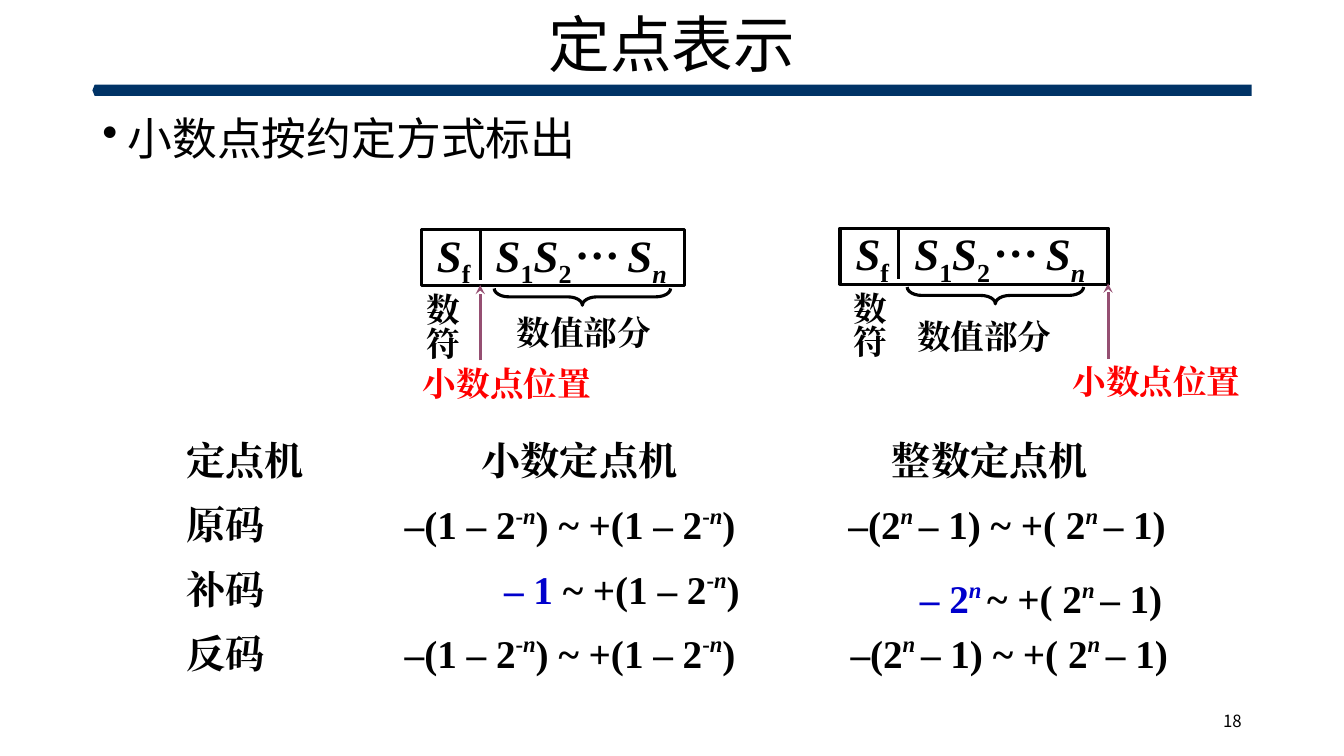
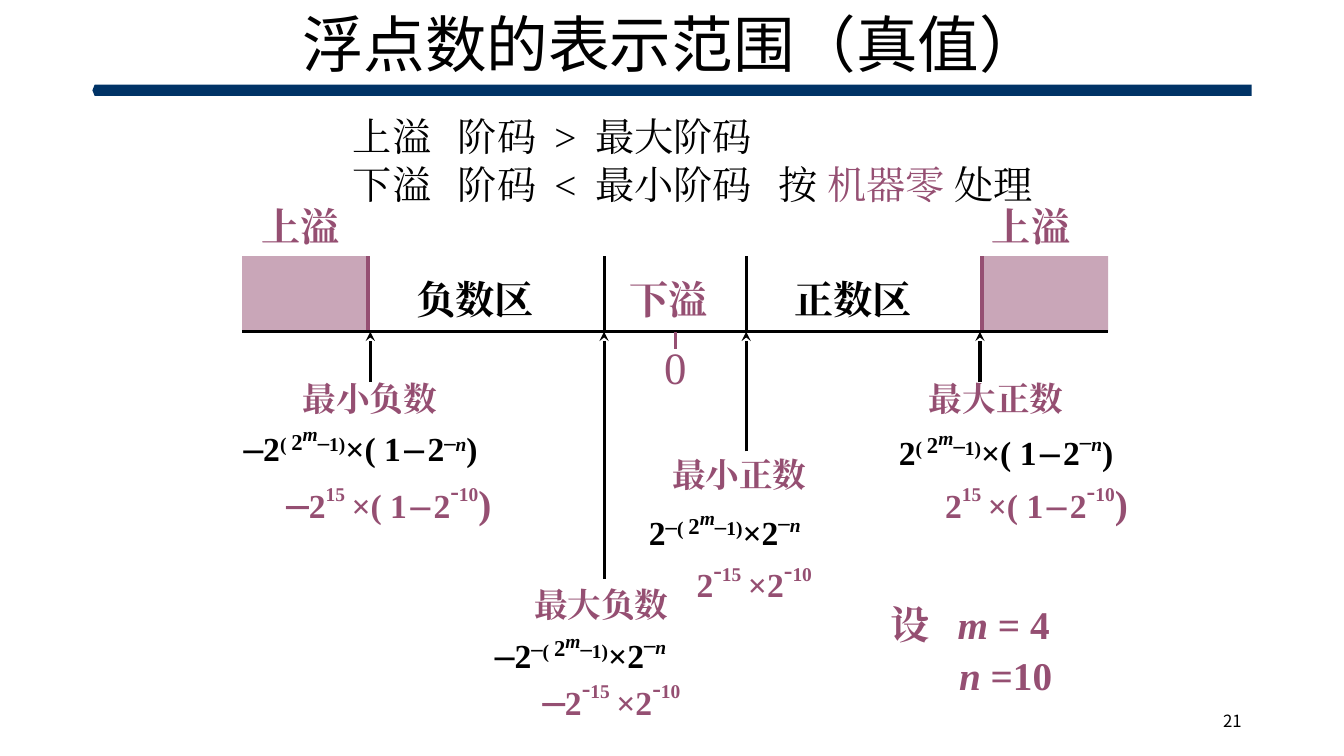
"""Build two slides on fixed-point and floating-point number ranges."""
import pptx
import pptx.util
import pptx.dml.color
import pptx.enum.shapes
import pptx.enum.text
import pptx.oxml.ns
import lxml.etree

Pt = pptx.util.Pt
qn = pptx.oxml.ns.qn
KIND = pptx.enum.shapes.MSO_SHAPE
ALIGN = pptx.enum.text.PP_ALIGN
ANCHOR = pptx.enum.text.MSO_ANCHOR
SANS, SERIF = "Noto Sans CJK SC", "Times New Roman"
INK, NAVY, PLUM, RED, BLUE = "000000", "003366", "954F72", "FF0000", "0000CC"
SLANT = {"S", "m", "n"}

EXP = [("( ", 30), ("2", 30, 28), ("m", 60), ("–", 30, 28), ("1)", 30)]
TINY = ["×2", ("–", 40, 28), ("n", 40)]
ONE = ["×( 1", (" ", 0, 10), ("–", 0, 28), (" ", 0, 10), "2"]
GAP = (" ", 30, 32)
DASH = ("-", 40, 32)
BIG = ["2", ("15", 50), GAP, *ONE, DASH, ("10", 50), (")", 0, 28)]
SMALL = ["2", DASH, ("15", 50), GAP, "×2", DASH, ("10", 50)]


def rgb(code):
    """Turn a hex string into a colour."""
    return pptx.dml.color.RGBColor.from_string(code)


def sub(parent, tag, **attrs):
    """Add an XML child with the given attributes."""
    node = lxml.etree.SubElement(parent, qn(tag))
    for key, value in attrs.items():
        node.set(key, str(value))
    return node


def fill_par(par, runs, size, tone, bold, name):
    """Fill a paragraph; a run is text or (text, baseline, size, tone)."""
    font = par.font
    font.size, font.bold, font.name = Pt(size), bold, name
    font.color.rgb = rgb(tone)
    sub(par._p.pPr.find(qn("a:defRPr")), "a:ea", typeface=name)
    for item in runs:
        item = (item,) if isinstance(item, str) else item
        word, base, own, hue = item + (0, None, None)[len(item) - 1:]
        run = par.add_run()
        run.text = word
        if word.strip() in SLANT:
            run.font.italic = True
        if own:
            run.font.size = Pt(own)
        if hue:
            run.font.color.rgb = rgb(hue)
        if base:
            run._r.get_or_add_rPr().set("baseline", str(base * 1000))


def text(slide, x, y, w, *pars, size=24, tone=INK, bold=True, name=SERIF,
         wrap=False, tabs=(), h=None):
    """Place a text box and return its frame."""
    box = slide.shapes.add_textbox(Pt(x), Pt(y), Pt(w), Pt(h or size * 1.2 + 7))
    frame = box.text_frame
    frame.word_wrap = wrap
    if not h:
        frame.auto_size = pptx.enum.text.MSO_AUTO_SIZE.SHAPE_TO_FIT_TEXT
    for k, runs in enumerate(pars):
        par = frame.add_paragraph() if k else frame.paragraphs[0]
        if tabs:
            stops = sub(par._p.get_or_add_pPr(), "a:tabLst")
            for stop in tabs:
                sub(stops, "a:tab", pos=Pt(stop), algn="l")
        fill_par(par, runs, size, tone, bold, name)
    return frame


def line(slide, x1, y1, x2, y2, tone=INK, width=2.25, arrow=False):
    """Draw a straight line, with an arrowhead at its end if asked."""
    wire = slide.shapes.add_connector(
        pptx.enum.shapes.MSO_CONNECTOR.STRAIGHT, Pt(x1), Pt(y1), Pt(x2), Pt(y2))
    wire.line.width = Pt(width)
    wire.line.color.rgb = rgb(tone)
    if arrow:
        sub(wire.line._get_or_add_ln(), "a:tailEnd", type="stealth")
    sub(wire._element.spPr, "a:effectLst")


def shape(slide, kind, x, y, w, h, fill=None, edge=None, alpha=None):
    """Place a preset shape."""
    item = slide.shapes.add_shape(kind, Pt(x), Pt(y), Pt(w), Pt(h))
    item.shadow.inherit = False
    if fill:
        item.fill.solid()
        item.fill.fore_color.rgb = rgb(fill)
    else:
        item.fill.background()
    if alpha:
        color = item._element.spPr.find(".//" + qn("a:srgbClr"))
        sub(color, "a:alpha", val=alpha * 1000)
    if edge:
        item.line.color.rgb = rgb(edge)
        item.line.width = Pt(2.25)
    else:
        item.line.fill.background()
    return item


def page(deck, title, number):
    """Add a slide with title, band and page number."""
    slide = deck.slides.add_slide(deck.slide_layouts[6])
    band = shape(slide, KIND.PENTAGON, 66, 60.5, 828, 8, fill=NAVY)
    band.rotation = 180
    band.adjustments[0] = 0.2
    head = text(slide, 66, 2, 828, [title], size=44, bold=False, name=SANS,
                wrap=True, h=64)
    head.paragraphs[0].alignment = ALIGN.CENTER
    head.paragraphs[0].line_spacing = 0.9
    foot = text(slide, 678, 500.5, 216, [number], size=12, bold=False,
                name=SANS, wrap=True, h=29)
    foot.paragraphs[0].alignment = ALIGN.RIGHT
    head.vertical_anchor = foot.vertical_anchor = ANCHOR.MIDDLE
    return slide


def bullet(slide, x, y, w, h, words):
    """Place one bulleted line."""
    frame = text(slide, x, y, w, h=h, wrap=True)
    par = frame.paragraphs[0]
    props = par._p.get_or_add_pPr()
    props.set("marL", str(Pt(18)))
    props.set("indent", str(Pt(-18)))
    sub(sub(props, "a:buClr"), "a:srgbClr", val=INK)
    sub(props, "a:buChar", char="•")
    fill_par(par, [words], 32, INK, False, SANS)


def word(slide, x, y, w, point, label, sign, part, mid):
    """Draw a machine word with its sign, value part and point mark."""
    digits = ["S", ("f", -25), "\t", "S", ("1", -25), "S", ("2", -25), "\t",
              "S", ("n", -25)]
    text(slide, x + 4, y - 5, 215, digits, size=32, wrap=True, tabs=(42, 136))
    text(slide, x + 102.5, y - 14.5, 46, ["…"], size=32)
    shape(slide, KIND.RECTANGLE, x, y, w, 40, edge=INK)
    line(slide, x + 42, y, x + 42, y + 36)
    line(slide, x + point, y + 93.5, x + point, y + 39.5, PLUM, arrow=True)
    tall = text(slide, x + sign, y + 38.5, 43, ["数符"], h=55.5)
    tall._txBody.bodyPr.set("vert", "eaVert")
    text(slide, x + part[0], y + part[1], 110.5, ["数值部分"])
    text(slide, x + label, y + 91.5, 134.5, ["小数点位置"], tone=RED)
    brace = shape(slide, KIND.LEFT_BRACE, x + mid - 6, y + 48 - 63, 12, 126,
                  edge=INK)
    brace.rotation = 270
    brace.adjustments[0] = 0.875
    brace.adjustments[1] = 0.5


def codes(slide, x, y, step):
    """List the ranges of the three codes in rows."""
    n = ("n ", 40)
    frac = ["1 – 2", ("-", 40), ("n", 40), ")"]
    full = ["–(1 – 2", *frac[1:3], ") ~ +(1 – 2", *frac[1:]]
    whole = ["–(2", n, "– 1) ~ +( 2", n, "– 1)"]
    rows = [
        ("定点机", (211, 155, ["小数定点机"]), (504, 155, ["整数定点机"])),
        ("原码", (156, 256, full), (473, 246, whole)),
        ("补码", (227, 246, [("– 1", 0, None, BLUE), " ~ +(1 – 2", *frac[1:]]),
         (524, 276, [("– 2", 0, None, BLUE), ("n ", 40, None, BLUE), "~ +( 2",
                     n, "– 1)"])),
        ("反码", (156, 256, full), (474.5, 246, whole)),
    ]
    for k, (name, left, right) in enumerate(rows):
        top = y + k * step
        text(slide, x, top, 28 * len(name) + 14.5, [name], size=28)
        for dx, w, runs in (left, right):
            drop = 7 if dx == 524 else 0
            text(slide, x + dx, top + drop, w, runs, size=28, wrap=k == 2)


def axis(slide, x, y, w, h):
    """Draw the number axis with its zones."""
    edge, near, far = 90, 258.5, 360
    base = y + h
    for left in (x, x + w - edge):
        shape(slide, KIND.RECTANGLE, left, y, edge, h, fill=PLUM, alpha=50)
    for dx, tone, width in ((edge, PLUM, 3), (near, INK, 2.25),
                            (far, INK, 2.25), (w - edge, PLUM, 3)):
        line(slide, x + dx, y, x + dx, base, tone, width)
    line(slide, x, base, x + w, base)
    line(slide, x + w / 2, base + 12, x + w / 2, base, PLUM)
    for dx, dy, name, tone in (
            (117.5, 10, "负数区", INK), (387.5, 10, "正数区", INK),
            (269.5, 10, "下溢", PLUM), (6.5, -42, "上溢", PLUM),
            (w - edge, -42, "上溢", PLUM)):
        text(slide, x + dx, y + dy, 28 * len(name) + 14.5, [name], size=28,
             tone=tone)
    text(slide, x + w / 2 - 15, base + 2, 30, ["0"], size=32, tone=PLUM,
         bold=False)


def limit(slide, x, y, name, stem, form, value):
    """Place a limit: arrow, name, formula and sample value."""
    line(slide, x + stem[0], y + stem[1], x + stem[0], 237, arrow=True)
    text(slide, x, y, 110.5, [name], tone=PLUM)
    for (dx, dy, runs), tone in ((form, INK), (value, PLUM)):
        text(slide, x + dx, y + dy, 230, runs, tone=tone, wrap=True)


def rules(slide, x, y, w):
    """State when overflow and underflow occur."""
    frame = text(slide, x, y, w, ["上溢\t阶码\t>\t最大阶码"],
                 ["下溢\t阶码\t<\t最小阶码\t按 ", ("机器零 ", 0, None, PLUM), "处理"],
                 size=28, bold=False, wrap=True, tabs=(75, 144, 173, 304), h=68)
    frame.margin_top = Pt(5.8)
    for par in frame.paragraphs:
        par.line_spacing = 0.6
    frame.paragraphs[1].space_before = Pt(14)


def fixed(deck):
    """Build the fixed-point slide."""
    slide = page(deck, "定点表示", "18")
    bullet(slide, 66, 75.5, 828, 418, "小数点按约定方式标出")
    word(slide, 301, 164, 188, 42, -6, -10, (61, 55.5), 115)
    word(slide, 600, 163, 191.5, 191.5, 159, -4, (48, 59), 111)
    codes(slide, 126, 308, 46)


def ranges(deck):
    """Build the floating-point range slide."""
    slide = page(deck, "浮点数的表示范围（真值）", "21")
    rules(slide, 245, 86.5, 534)
    axis(slide, 173, 183, 618.5, 54)
    minus, less, high = ("–", 0, 28), ("–", 30, 28), ("–", 0, 32)
    end = [("n", 30), ")"]
    low = ["2", less, *EXP, *TINY]
    limit(slide, 209, 266.5, "最小负数", (55.5, 6.5),
          (-42, 31.5, [minus, "2", *EXP, *ONE, less, *end]),
          (-11.5, 68.5, [high, *BIG]))
    limit(slide, 374.5, 413.5, "最大负数", (57, 0),
          (-28, 32, [minus, *low]), (6, 62, [high, *SMALL]))
    limit(slide, 656.5, 266.5, "最大正数", (43.5, 6.5),
          (-21.5, 34, ["2", *EXP, *ONE, ("–", 40, 28), ("n", 40), ")"]),
          (11.5, 68.5, BIG))
    limit(slide, 473, 320.5, "最小正数", (60, 2),
          (-16.5, 37.5, low), (17.5, 71, SMALL))
    text(slide, 629, 425, 204, ["设\t", "m", " = 4"], size=28, tone=PLUM,
         wrap=True, tabs=(48,))
    text(slide, 678, 462, 204, ["n", " =10"], size=28, tone=PLUM, wrap=True)


def main():
    """Build and save the deck."""
    deck = pptx.Presentation()
    deck.slide_width, deck.slide_height = Pt(960), Pt(540)
    fixed(deck)
    ranges(deck)
    deck.save("out.pptx")


if __name__ == "__main__":
    main()
